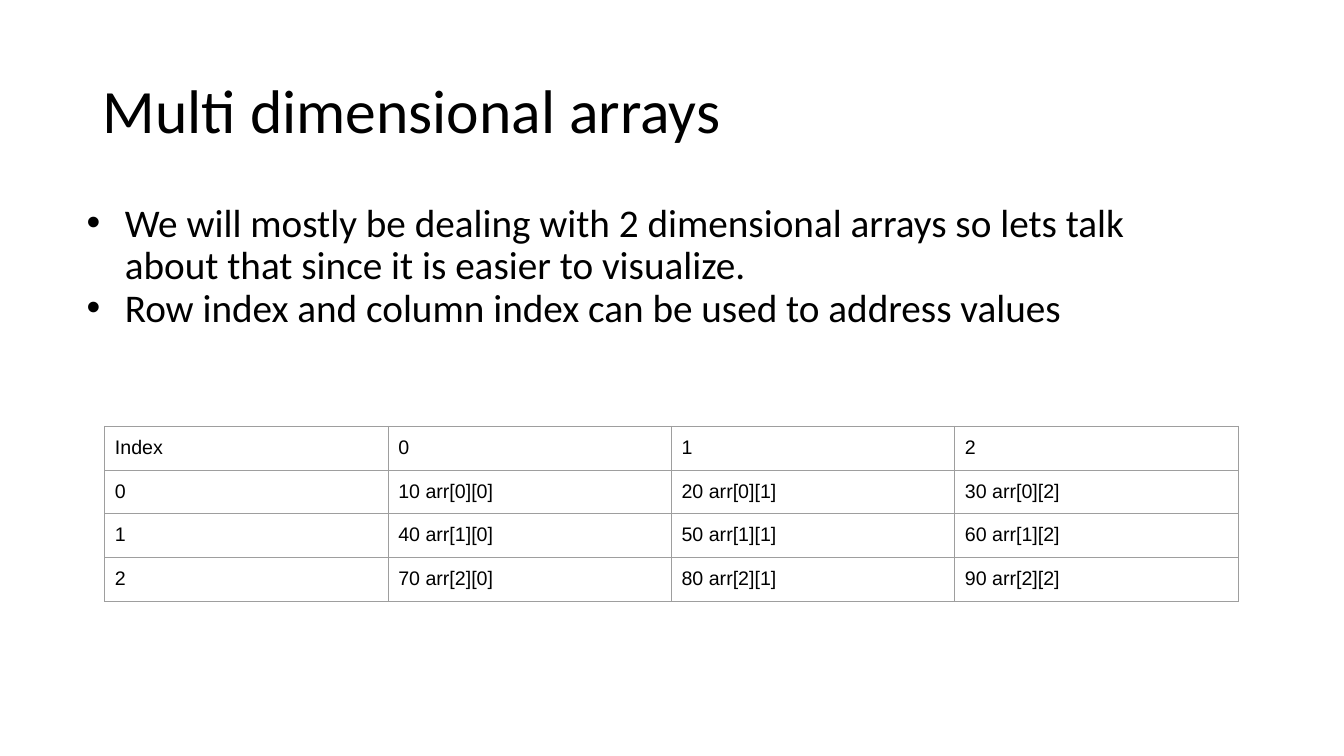
from lxml import etree
from pptx import Presentation
from pptx.dml.color import RGBColor
from pptx.enum.text import MSO_ANCHOR
from pptx.oxml.ns import qn
from pptx.util import Pt

PX = 9144
BLACK = RGBColor(0x00, 0x00, 0x00)
GREY = RGBColor(0x9E, 0x9E, 0x9E)
TOP, MIDDLE = MSO_ANCHOR.TOP, MSO_ANCHOR.MIDDLE

TITLE = "Multi dimensional arrays"
POINTS = [
    "We will mostly be dealing with 2 dimensional arrays so lets talk about that since it is easier to visualize.",
    "Row index and column index can be used to address values",
]
VALUES = [[10, 20, 30], [40, 50, 60], [70, 80, 90]]


def px(*lengths):
    """Turn pixel lengths into EMU."""
    return [n * PX for n in lengths]


def set_font(p, name, size):
    """Set a paragraph's font in black."""
    p.font.name, p.font.size = name, Pt(size)
    p.font.color.rgb = BLACK


def add_text(slide, box, lines, size, anchor):
    """Add a wrapped text box and return its paragraphs."""
    tf = slide.shapes.add_textbox(*px(*box)).text_frame
    tf.word_wrap = True
    tf.vertical_anchor = anchor
    tf.text = "\n".join(lines)
    for p in tf.paragraphs:
        p.line_spacing = 0.9
        set_font(p, "Calibri", size)
    return tf.paragraphs


def add_bullets(slide, box, lines):
    """Add a bulleted list with hanging indents."""
    paragraphs = add_text(slide, box, lines, 28, TOP)
    paragraphs[0].space_before = Pt(10)
    for p in paragraphs:
        pPr = p._p.get_or_add_pPr()
        pPr.set("marL", str(50 * PX))
        pPr.set("indent", str(-38 * PX))
        bullet_font = etree.Element(qn("a:buFont"), typeface="Arial")
        bullet = etree.Element(qn("a:buChar"), char="•")
        at = pPr.index(pPr.find(qn("a:defRPr")))
        pPr[at:at] = [bullet_font, bullet]


def set_borders(cell):
    """Draw a thin grey line on all four sides of a cell."""
    tcPr = cell._tc.get_or_add_tcPr()
    for side in "LRTB":
        ln = etree.SubElement(tcPr, qn(f"a:ln{side}"), w=str(Pt(0.75)))
        fill = etree.SubElement(ln, qn("a:solidFill"))
        etree.SubElement(fill, qn("a:srgbClr"), val=str(GREY))


def add_index_table(slide, box, values):
    """Add a table of array values with row and column indexes."""
    rows = [["Index", *map(str, range(len(values[0])))]]
    for i, row in enumerate(values):
        rows.append([str(i), *(f"{v} arr[{i}][{j}]" for j, v in enumerate(row))])
    table = slide.shapes.add_table(len(rows), len(rows[0]), *px(*box)).table
    table.first_row = table.horz_banding = False
    for i, row in enumerate(rows):
        for j, text in enumerate(row):
            cell = table.cell(i, j)
            cell.text = text
            cell.margin_left = cell.margin_right = 10 * PX
            cell.margin_top = cell.margin_bottom = 10 * PX
            set_font(cell.text_frame.paragraphs[0], "Arial", 14)
            set_borders(cell)
            cell.fill.background()


def main():
    """Build the slide and save it."""
    prs = Presentation()
    prs.slide_width, prs.slide_height = px(1333, 750)
    slide = prs.slides.add_slide(prs.slide_layouts[6])
    add_text(slide, (92, 40, 1150, 145), [TITLE], 44, MIDDLE)
    add_bullets(slide, (64, 197, 1150, 476), POINTS)
    add_index_table(slide, (104, 423, 1124, 168), VALUES)
    prs.save("out.pptx")


if __name__ == "__main__":
    main()
